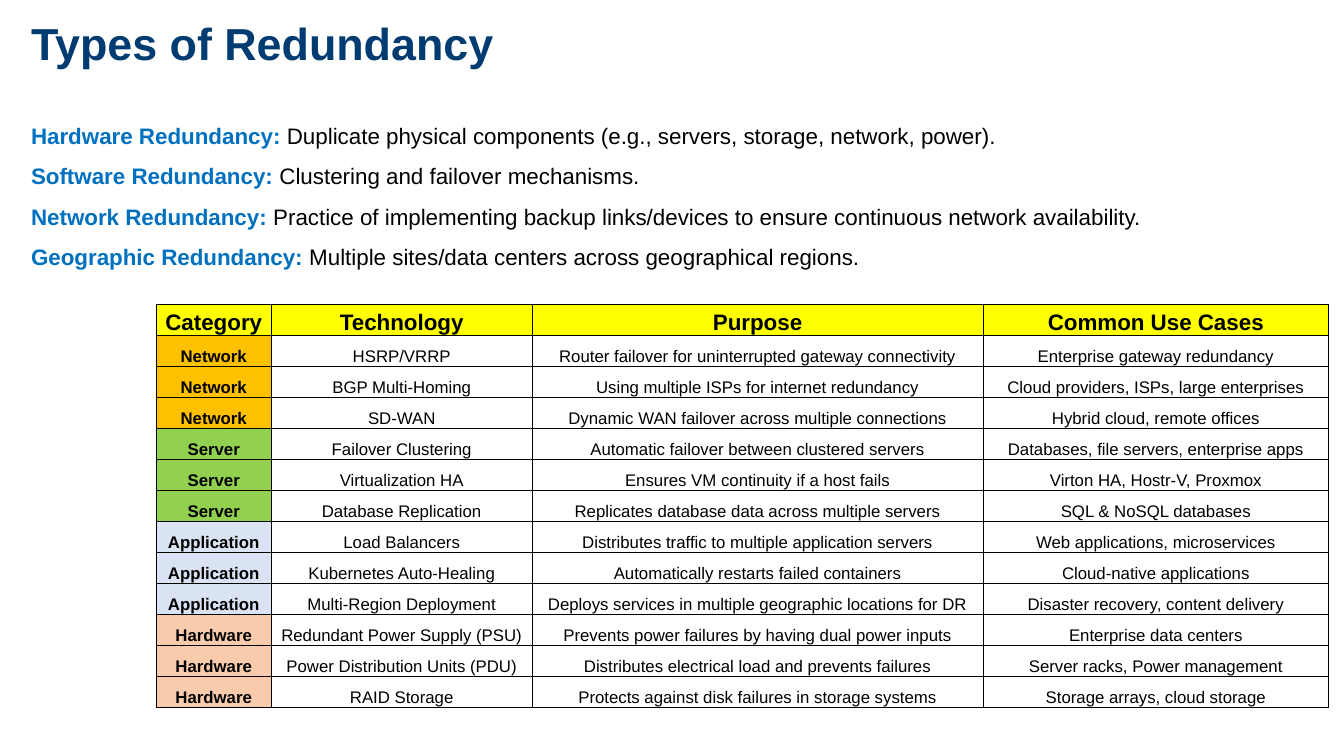
from dataclasses import dataclass

import pptx
import pptx.dml.color
import pptx.enum.text
import pptx.oxml
import pptx.oxml.ns
import pptx.util
from pptx.util import Inches


@dataclass(frozen=True)
class Theme:
    font: str = "Arial"
    title: str = "003C71"
    term: str = "0070C0"
    text: str = "000000"
    header: str = "FFFF00"
    network: str = "FFC000"
    server: str = "92D050"
    application: str = "DAE3F3"
    hardware: str = "F8CBAD"
    title_size: int = 32
    body_size: int = 16
    cell_size: int = 12
    border_width: float = 0.5


theme = Theme()
rgb = pptx.dml.color.RGBColor.from_string

definitions = [
    ("Hardware Redundancy: ", "Duplicate physical components (e.g., servers, storage, network, power)."),
    ("Software Redundancy: ", "Clustering and failover mechanisms."),
    ("Network Redundancy: ", "Practice of implementing backup links/devices to ensure continuous network availability."),
    ("Geographic Redundancy: ", "Multiple sites/data centers across geographical regions."),
]
headings = ("Category", "Technology", "Purpose", "Common Use Cases")
categories = [
    ("Network", theme.network, [
        ("HSRP/VRRP", "Router failover for uninterrupted gateway connectivity", "Enterprise gateway redundancy"),
        ("BGP Multi-Homing", "Using multiple ISPs for internet redundancy", "Cloud providers, ISPs, large enterprises"),
        ("SD-WAN", "Dynamic WAN failover across multiple connections", "Hybrid cloud, remote offices"),
    ]),
    ("Server", theme.server, [
        ("Failover Clustering", "Automatic failover between clustered servers", "Databases, file servers, enterprise apps"),
        ("Virtualization HA", "Ensures VM continuity if a host fails", "Virton HA, Hostr-V, Proxmox"),
        ("Database Replication", "Replicates database data across multiple servers", "SQL & NoSQL databases"),
    ]),
    ("Application", theme.application, [
        ("Load Balancers", "Distributes traffic to multiple application servers", "Web applications, microservices"),
        ("Kubernetes Auto-Healing", "Automatically restarts failed containers", "Cloud-native applications"),
        ("Multi-Region Deployment", "Deploys services in multiple geographic locations for DR",
         "Disaster recovery, content delivery"),
    ]),
    ("Hardware", theme.hardware, [
        ("Redundant Power Supply (PSU)", "Prevents power failures by having dual power inputs", "Enterprise data centers"),
        ("Power Distribution Units (PDU)", "Distributes electrical load and prevents failures",
         "Server racks, Power management"),
        ("RAID Storage", "Protects against disk failures in storage systems", "Storage arrays, cloud storage"),
    ]),
]


def style(font, size, color, bold):
    font.name = theme.font
    font.size = pptx.util.Pt(size)
    font.color.rgb = rgb(color)
    font.bold = bold


def add_borders(cell):
    properties = cell._tc.get_or_add_tcPr()
    width = pptx.util.Pt(theme.border_width)
    for side in ("lnL", "lnR", "lnT", "lnB"):
        properties.append(pptx.oxml.parse_xml(
            f'<a:{side} {pptx.oxml.ns.nsdecls("a")} w="{width}"><a:solidFill>'
            f'<a:srgbClr val="{theme.text}"/></a:solidFill></a:{side}>'))


presentation = pptx.Presentation()
presentation.slide_width = Inches(13.33)
presentation.slide_height = Inches(7.5)
slide = presentation.slides.add_slide(presentation.slide_layouts[6])

# Title
title = slide.shapes.add_textbox(Inches(0.21), Inches(0.11), Inches(7.15), Inches(0.64)).text_frame
title.word_wrap = True
title.auto_size = pptx.enum.text.MSO_AUTO_SIZE.SHAPE_TO_FIT_TEXT
title.text = "Types of Redundancy"
style(title.paragraphs[0].font, theme.title_size, theme.title, True)

# Table of technologies
rows = [(headings, theme.header)]
for category, color, technologies in categories:
    rows += [((category, *technology), color) for technology in technologies]

column_widths = (1.14, 2.59, 4.47, 3.43)
row_height = Inches(4 / len(rows))
technology_table = slide.shapes.add_table(
    len(rows), len(column_widths), Inches(1.55), Inches(3.02),
    Inches(sum(column_widths)), row_height * len(rows)).table
technology_table.first_row = False
technology_table.horz_banding = False
for column, width in zip(technology_table.columns, column_widths):
    column.width = Inches(width)

for row_index, (texts, color) in enumerate(rows):
    technology_table.rows[row_index].height = row_height
    is_header = row_index == 0
    for column_index, text in enumerate(texts):
        cell = technology_table.cell(row_index, column_index)
        is_label = is_header or column_index == 0
        cell.margin_left = cell.margin_right = cell.margin_top = Inches(0.01)
        cell.margin_bottom = 0
        cell.vertical_anchor = pptx.enum.text.MSO_ANCHOR.BOTTOM
        add_borders(cell)
        if is_label:
            cell.fill.solid()
            cell.fill.fore_color.rgb = rgb(color)
        else:
            cell.fill.background()
        cell.text = text
        paragraph = cell.text_frame.paragraphs[0]
        paragraph.alignment = pptx.enum.text.PP_ALIGN.CENTER
        style(paragraph.font, theme.body_size if is_header else theme.cell_size, theme.text, is_label)

# Definitions
summary = slide.shapes.add_textbox(Inches(0.21), Inches(1.03), Inches(11.53), Inches(1.72)).text_frame
summary.word_wrap = True
summary.auto_size = pptx.enum.text.MSO_AUTO_SIZE.SHAPE_TO_FIT_TEXT
for index, (term, meaning) in enumerate(definitions):
    paragraph = summary.add_paragraph() if index else summary.paragraphs[0]
    paragraph.line_spacing = 1.5
    for text, color, bold in ((term, theme.term, True), (meaning, theme.text, False)):
        run = paragraph.add_run()
        run.text = text
        style(run.font, theme.body_size, color, bold)

presentation.save("out.pptx")
